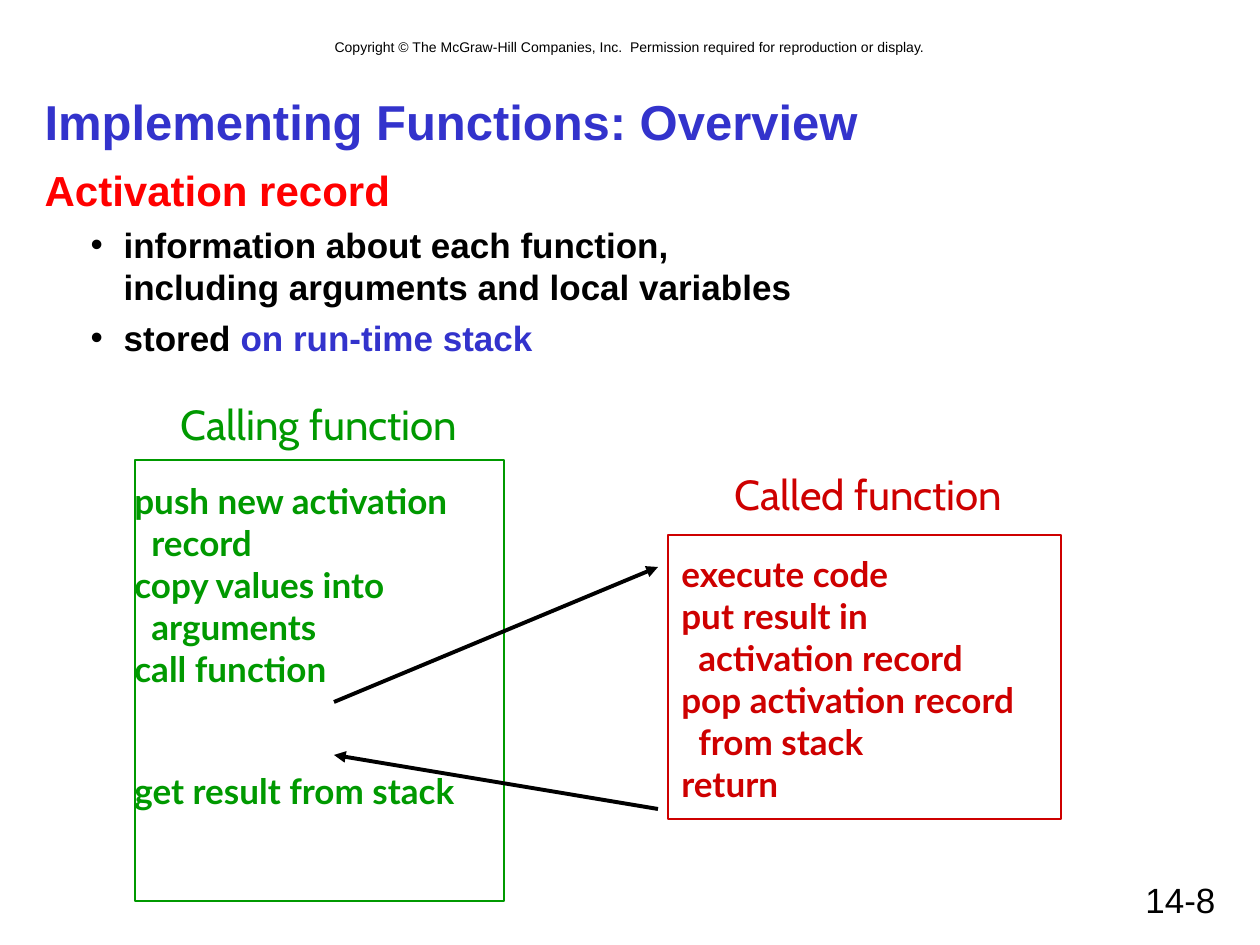
from lxml.etree import SubElement
from pptx import Presentation
from pptx.dml.color import RGBColor
from pptx.enum.shapes import MSO_CONNECTOR, MSO_SHAPE
from pptx.enum.text import MSO_ANCHOR, MSO_AUTO_SIZE, PP_ALIGN
from pptx.oxml.ns import qn
from pptx.util import Pt

SCALE = 914400 / 126
BLACK = RGBColor(0x00, 0x00, 0x00)
BLUE = RGBColor(0x33, 0x33, 0xCC)
RED = RGBColor(0xFF, 0x00, 0x00)
GREEN = RGBColor(0x00, 0x99, 0x00)
CRIMSON = RGBColor(0xCE, 0x00, 0x00)


def px(*nums):
    """Turn pixel lengths into a list of EMU."""
    return [round(n * SCALE) for n in nums]


def write(box, text, new=True, size=20, color=BLACK, font="Arial", bold=False,
          align=PP_ALIGN.LEFT, level=0, left=0, hang=0, bullet=None, before=0):
    """Write text as a new paragraph of box, or as more of its last one."""
    frame = box.text_frame
    frame.word_wrap = True
    frame.auto_size = MSO_AUTO_SIZE.NONE
    para = frame.paragraphs[-1]
    if new:
        if para.runs:
            para = frame.add_paragraph()
        para.level = level
        props = para._p.get_or_add_pPr()
        margin, indent = px(left, -hang)
        props.set("marL", str(margin))
        props.set("indent", str(indent))
        if bullet:
            SubElement(props, qn("a:buFont"), typeface="Arial")
            SubElement(props, qn("a:buChar"), char=bullet)
        else:
            SubElement(props, qn("a:buNone"))
        para.alignment = align
        para.space_before = Pt(before)
    for i, line in enumerate(text.split("\n")):
        if i:
            para.add_line_break()
            SubElement(para._p[-1], qn("a:rPr"), sz=str(size * 100))
        run = para.add_run()
        run.text = line
        run.font.size = Pt(size)
        run.font.name = font
        run.font.bold = bold
        run.font.color.rgb = color


deck = Presentation()
deck.slide_width, deck.slide_height = px(1260, 945)
slide = deck.slides.add_slide(deck.slide_layouts[1])
shapes = slide.shapes

# Title and list
title, body = slide.placeholders
title.left, title.top, title.width, title.height = px(32, 84, 1197, 73)
title.text_frame.vertical_anchor = MSO_ANCHOR.MIDDLE
write(title, "Implementing Functions: Overview", size=28, color=BLUE, bold=True)

body.left, body.top, body.width, body.height = px(32, 158, 1197, 682)
write(body, "Activation record", size=24, color=RED, bold=True)
item = dict(level=1, left=79, hang=33, bullet="•", before=5, bold=True)
write(body, "information about each function,\n"
            "including arguments and local variables", **item)
write(body, "stored ", **item)
write(body, "on run-time stack", new=False, color=BLUE, bold=True)

# Copyright line and page number
note = shapes.add_textbox(*px(84, 32, 1092, 30))
write(note, "Copyright © The McGraw-Hill Companies, Inc.  "
            "Permission required for reproduction or display.",
      size=8, align=PP_ALIGN.CENTER)
page = shapes.add_textbox(*px(903, 872, 325, 53))
write(page, "14-8", align=PP_ALIGN.RIGHT)

# Frames of the two functions
for area, color in (((135, 460, 369, 441), GREEN),
                    ((668, 535, 393, 284), CRIMSON)):
    frame = shapes.add_shape(MSO_SHAPE.RECTANGLE, *px(*area))
    frame.shadow.inherit = False
    frame.fill.background()
    frame.line.color.rgb = color
    frame.line.width = Pt(0.75)

# Headings
for area, text, color in (
        ((152, 392, 334, 63), "Calling function", GREEN),
        ((708, 462, 321, 63), "Called function", CRIMSON)):
    head = shapes.add_textbox(*px(*area))
    write(head, text, size=24, color=color, font="Cabin", align=PP_ALIGN.CENTER)

# Steps, each with its second line set in
for area, color, steps in (
        ((122, 473, 379, 223), GREEN,
         ["push new activation\nrecord", "copy values into\narguments",
          "call function"]),
        ((122, 763, 393, 55), GREEN, ["get result from stack"]),
        ((669, 546, 401, 265), CRIMSON,
         ["execute code", "put result in\nactivation record",
          "pop activation record\nfrom stack", "return"])):
    box = shapes.add_textbox(*px(*area))
    for step in steps:
        write(box, step, color=color, font="Lato", bold=True, left=17, hang=17)

# Call and return arrows
for ends in ((334, 702, 658, 567), (658, 809, 334, 755)):
    arrow = shapes.add_connector(MSO_CONNECTOR.STRAIGHT, *px(*ends))
    arrow.line.color.rgb = BLACK
    arrow.line.width = Pt(2.25)
    SubElement(arrow.line._get_or_add_ln(), qn("a:tailEnd"), type="triangle")
    SubElement(arrow._element.spPr, qn("a:effectLst"))

deck.save("out.pptx")
